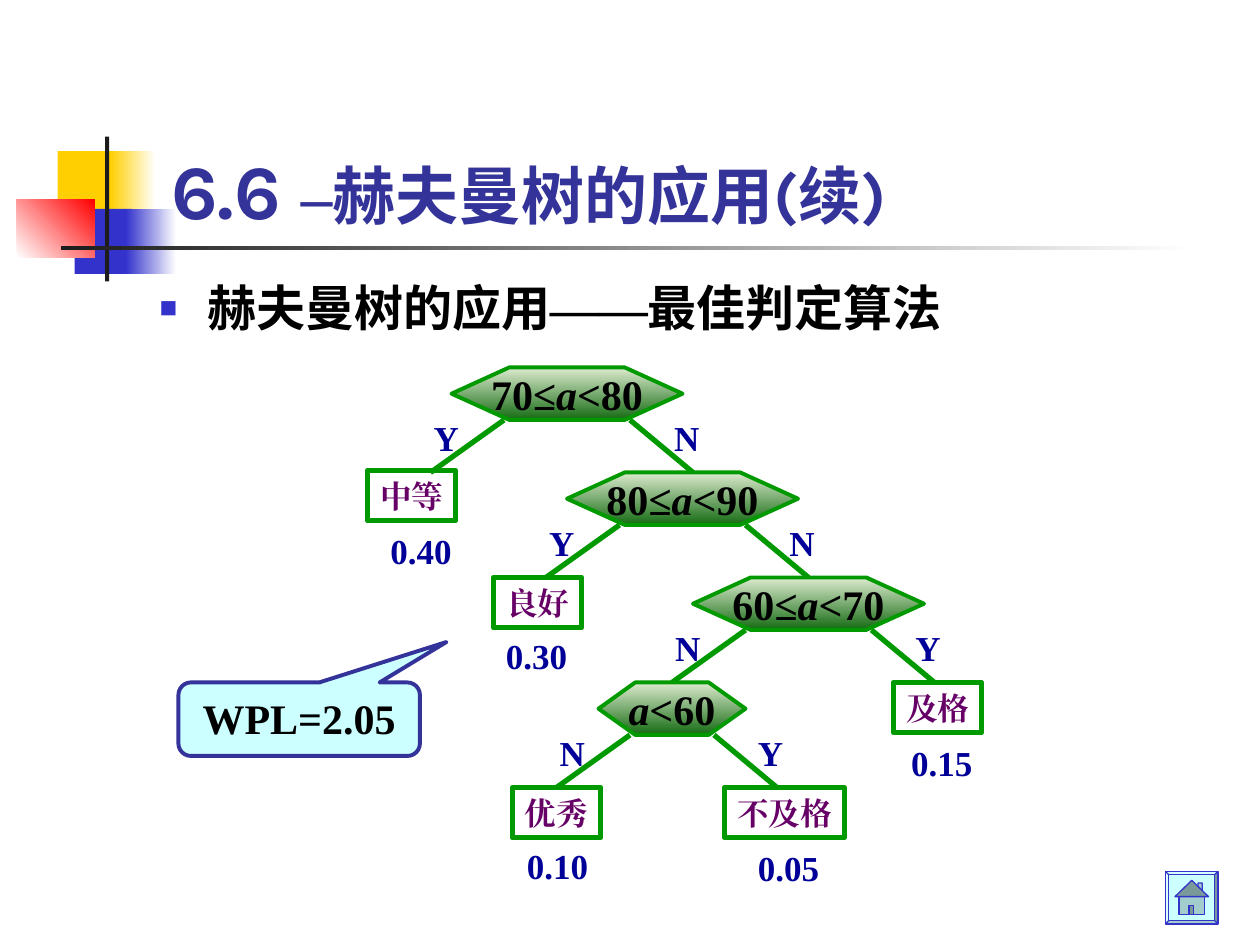
from pptx import Presentation
from pptx.dml.color import RGBColor
from pptx.enum.shapes import MSO_CONNECTOR as Link, MSO_SHAPE as Shape
from pptx.enum.text import MSO_ANCHOR as Anchor, MSO_AUTO_SIZE as Fit, PP_ALIGN as Align
from pptx.oxml.ns import qn
from pptx.util import Inches, Pt
from lxml.etree import SubElement

SERIF, SANS = "Times New Roman", "Karla"
GREEN, NAVY, PURPLE, INDIGO = "009900", "000099", "660066", "333399"
BLUE, YELLOW, CHARCOAL, PALE = "3333CC", "FFCF01", "1C1C1C", "CCFFFF"


def rgb(value):
    return RGBColor.from_string(value)


def cells(*values):
    return [Inches(value / 12) for value in values]


class TreeSlide:
    """Draws a decision tree slide on a grid of 120 columns by 90 rows."""

    def __init__(self, deck):
        self.page = deck.slides.add_slide(deck.slide_layouts[1])
        self.shapes = self.page.shapes

    def paint(self, box, fill=None, line=None, weight=0.75, angle=0):
        if isinstance(fill, tuple):
            box.fill.gradient()
            box.fill.gradient_angle = angle
            for stop, color in zip(box.fill.gradient_stops, fill):
                stop.color.rgb = rgb(color)
        elif fill:
            box.fill.solid()
            box.fill.fore_color.rgb = rgb(fill)
        else:
            box.fill.background()
        if line:
            box.line.color.rgb = rgb(line)
            box.line.width = Pt(weight)
        else:
            box.line.fill.background()
        box.shadow.inherit = False

    def add_runs(self, box, runs, color, align=Align.CENTER, anchor=Anchor.MIDDLE, wrap=False):
        frame = box.text_frame
        frame.word_wrap = wrap
        frame.auto_size = Fit.NONE
        frame.vertical_anchor = anchor
        para = frame.paragraphs[0]
        para.alignment = align
        for text, size, font, italic in runs:
            span = para.add_run()
            span.text = text
            span.font.size = Pt(size)
            span.font.name = font
            span.font.bold = True
            span.font.italic = italic
            span.font.color.rgb = rgb(color)
            SubElement(span.font._element, qn("a:ea"), typeface=font)
        return para

    def shape(self, kind, place, adjust=(), **style):
        box = self.shapes.add_shape(kind, *cells(*place))
        for index, value in enumerate(adjust):
            box.adjustments[index] = value
        self.paint(box, **style)
        return box

    def outline(self, points, fill):
        corners = [cells(*point) for point in points]
        builder = self.shapes.build_freeform(*corners[0])
        builder.add_line_segments(corners[1:], close=True)
        self.paint(builder.convert_to_shape(), fill, BLUE)

    def placeholder(self, index, place, runs, color, anchor):
        box = self.page.placeholders[index]
        box.left, box.top, box.width, box.height = cells(*place)
        self.shapes._spTree.append(box._element)
        return self.add_runs(box, runs, color, Align.LEFT, anchor, True)

    def bullet(self, para, color, percent):
        para.line_spacing = 0.9
        para.space_before = Pt(7)
        props = para._p.get_or_add_pPr()
        props.set("marL", str(Inches(0.38)))
        props.set("indent", str(-Inches(0.38)))
        tint = SubElement(props, qn("a:buClr"))
        SubElement(tint, qn("a:srgbClr"), val=color)
        SubElement(props, qn("a:buSzPct"), val=str(percent * 1000))
        SubElement(props, qn("a:buFont"), typeface=SERIF)
        SubElement(props, qn("a:buChar"), char="■")

    def label(self, text, left, top, width):
        box = self.shapes.add_textbox(*cells(left, top, width, 5.28))
        self.add_runs(box, [(text, 20, SERIF, False)], NAVY)

    def edge(self, start, end):
        line = self.shapes.add_connector(Link.STRAIGHT, *cells(*start, *end))
        line.line.color.rgb = rgb(GREEN)
        line.line.width = Pt(3)
        SubElement(line._element.spPr, qn("a:effectLst"))

    def leaf(self, name, left, top, width):
        box = self.shape(Shape.RECTANGLE, (left, top, width, 4.8), line=GREEN, weight=3)
        self.add_runs(box, [(name, 18, SERIF, False)], PURPLE)

    def test(self, low, high, left, top, width, inset, slant, answers):
        box = self.shape(Shape.HEXAGON, (left, top, width, 5), (slant,),
                         fill=("DDEBCF", "156B13"), angle=270, line=GREEN, weight=2.25)
        parts = [(low, False), ("a", True), (high, False)]
        self.add_runs(box, [(text, 24, SERIF, italic) for text, italic in parts if text], "000000")
        foot = top + 5
        branches = [(left + inset, -7, -5.5), (left + width - inset, 6, 5.4)]
        for (start, run, shift), answer in zip(branches, answers):
            self.edge((start, foot), (start + run, foot + 5))
            self.label(answer, start + shift - 2.4, foot - 1, 4.8)

    def home_button(self, left, top):
        self.shape(Shape.BEVEL, (left, top, 5, 5), (0.06,), fill=PALE, line=BLUE)
        parts = [
            ([(3.1, 1.1), (3.5, 1.1), (3.5, 2), (3.1, 1.6)], "A3CCCC"),
            ([(1.3, 2.4), (3.7, 2.4), (3.7, 4.1), (1.3, 4.1)], "A3CCCC"),
            ([(2.5, 0.85), (4.1, 2.4), (0.9, 2.4)], "7A9999"),
            ([(2.25, 3.25), (2.7, 3.25), (2.7, 4.1), (2.25, 4.1)], "7A9999"),
        ]
        for points, fill in parts:
            self.outline([(left + x, top + y) for x, y in points], fill)


DECOR = [
    ((5.5, 14.4, 5.8, 6.2), YELLOW, 0),
    ((10.5, 14.4, 4.3, 6.2), (YELLOW, "FFFFFF"), 0),
    ((7.1, 19.9, 5.5, 6.2), BLUE, 0),
    ((12, 19.9, 4.8, 6.2), (BLUE, "FFFFFF"), 0),
    ((1.6, 19, 7.4, 5.5), ("FFFFFF", "FF0000"), 45),
    ((10, 13, 0.4, 13.8), CHARCOAL, 0),
    ((5.8, 23.4, 108, 0.4), (CHARCOAL, "FFFFFF"), 0),
]
LEAVES = [
    ("不及格", 69, 75, 11.4, "0.05", 71, 80),
    ("及格", 85.1, 65, 8.4, "0.15", 85.6, 70),
    ("中等", 35, 44.8, 8.4, "0.40", 36, 49.8),
    ("良好", 47, 55, 8.4, "0.30", 47, 59.8),
    ("优秀", 48.8, 75, 8.4, "0.10", 49, 79.8),
]
TESTS = [
    ("70≤", "<80", 43, 35, 22, 5, 1.1, "YN"),
    ("80≤", "<90", 54, 45, 22, 5, 1.1, "YN"),
    ("60≤", "<70", 66, 55, 22, 5, 1.1, "NY"),
    ("", "<60", 57, 65, 14, 3, 0.7, "NY"),
]


def main():
    deck = Presentation()
    deck.slide_width, deck.slide_height = Inches(10), Inches(7.5)
    slide = TreeSlide(deck)
    for place, fill, angle in DECOR:
        slide.shape(Shape.RECTANGLE, place, fill=fill, angle=angle)

    slide.placeholder(0, (15.1, 8, 102.2, 15), [
        ("6.6 ", 44, SANS, False), ("–", 36, SERIF, False),
        ("赫夫曼树的应用(续)", 36, SANS, False)], INDIGO, Anchor.BOTTOM)
    topic = slide.placeholder(1, (14, 26.5, 104, 6.5), [
        ("赫夫曼树的应用", 28, SANS, False), ("——", 28, SERIF, False),
        ("最佳判定算法", 28, SANS, False)], "000000", Anchor.TOP)
    slide.bullet(topic, BLUE, 60)

    slide.home_button(111, 83)
    for name, left, top, width, weight, weight_left, weight_top in LEAVES:
        slide.leaf(name, left, top, width)
        slide.label(weight, weight_left, weight_top, 8.2)
    callout = slide.shape(Shape.ROUNDED_RECTANGULAR_CALLOUT, (17, 65, 23, 7),
                          (0.61, -1.05, 0.17), fill=PALE, line=INDIGO, weight=2.25)
    slide.add_runs(callout, [("WPL=2.05", 24, SERIF, False)], "000000",
                   anchor=Anchor.TOP, wrap=True)
    for test in TESTS:
        slide.test(*test)
    deck.save("out.pptx")


if __name__ == "__main__":
    main()
